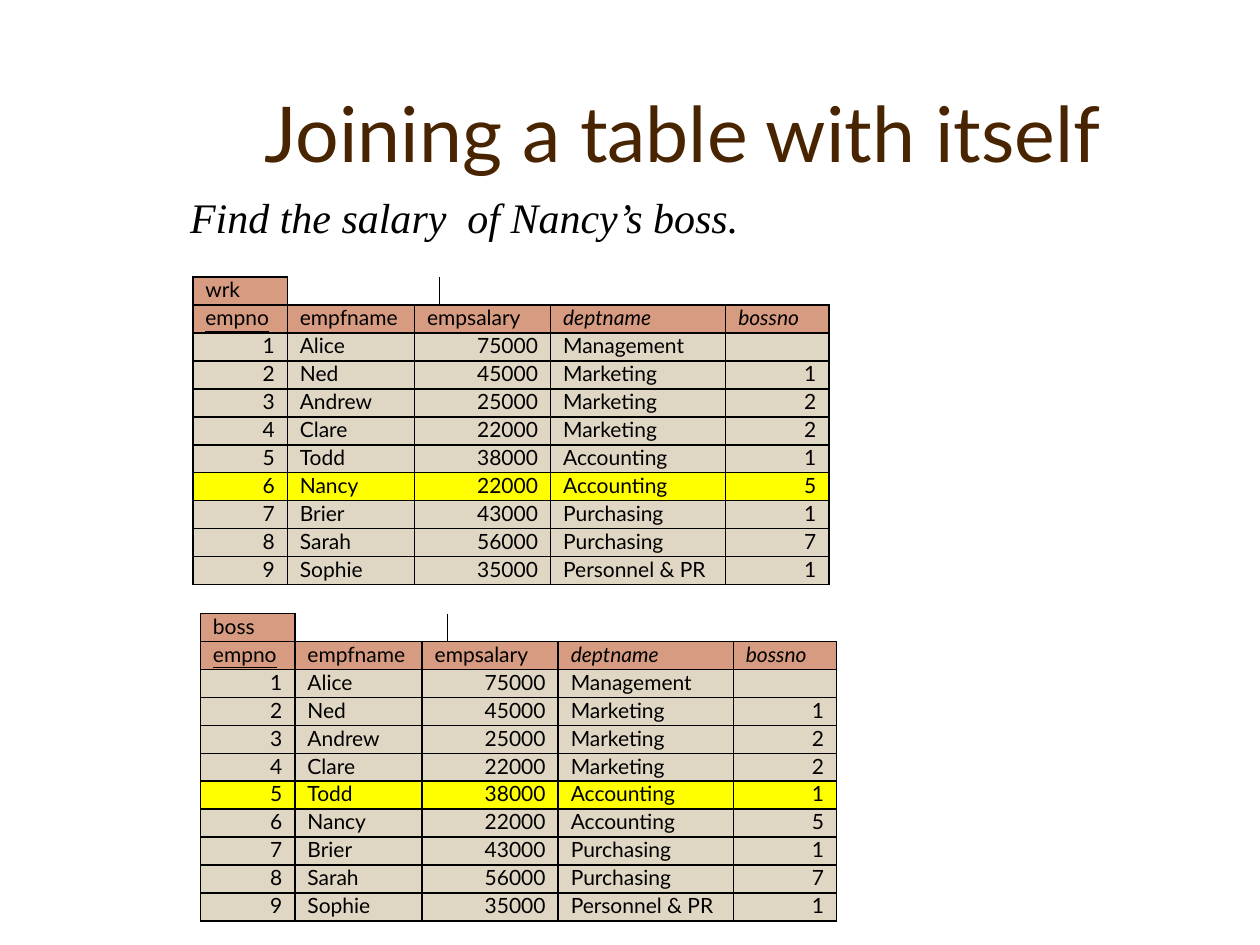
from dataclasses import dataclass

from lxml import etree
from pptx import Presentation
from pptx.dml.color import RGBColor
from pptx.enum.text import MSO_ANCHOR, PP_ALIGN
from pptx.oxml.ns import qn
from pptx.util import Inches, Pt

CENTER, RIGHT, JUSTIFY = PP_ALIGN.CENTER, PP_ALIGN.RIGHT, PP_ALIGN.JUSTIFY
LEFT = PP_ALIGN.LEFT
MIDDLE, TOP = MSO_ANCHOR.MIDDLE, MSO_ANCHOR.TOP


@dataclass(frozen=True)
class Theme:
    title: str = "482400"
    ink: str = "000000"
    header: str = "D69B80"
    row: str = "DFD6C3"
    highlight: str = "FFFF00"
    sans: str = "Lato"
    serif: str = "Times New Roman"
    title_size: int = 44
    query_size: int = 24
    table_size: int = 12


THEME = Theme()
NO_STYLE = "{2D5ABB26-0587-4C30-8999-92F81FD0307C}"
COL_WIDTHS = (0.75, 1.01, 0.2, 0.88, 1.39, 0.23, 0.59)
ROW_HEIGHT = 2.44 / 11
NAME_SPANS = ((0, 0), (1, 2), (3, 3), (4, 5), (6, 6))
DATA_SPANS = ((0, 0), (1, 1), (2, 3), (4, 4), (5, 6))
HEADERS = ("empno", "empfname", "empsalary", "deptname", "bossno")
EMPLOYEES = (
    ("1", "Alice", "75000", "Management", ""),
    ("2", "Ned", "45000", "Marketing", "1"),
    ("3", "Andrew", "25000", "Marketing", "2"),
    ("4", "Clare", "22000", "Marketing", "2"),
    ("5", "Todd", "38000", "Accounting", "1"),
    ("6", "Nancy", "22000", "Accounting", "5"),
    ("7", "Brier", "43000", "Purchasing", "1"),
    ("8", "Sarah", "56000", "Purchasing", "7"),
    ("9", "Sophie", "35000", "Personnel & PR", "1"),
)


def set_font(p, name, size, color, italic=False):
    p.font.name = name
    p.font.size = Pt(size)
    p.font.italic = italic
    p.font.color.rgb = RGBColor.from_string(color)


def add_text(slide, box, text, font, align=LEFT, anchor=TOP, wrap=True):
    tf = slide.shapes.add_textbox(*map(Inches, box)).text_frame
    tf.word_wrap = wrap
    tf.vertical_anchor = anchor
    p = tf.paragraphs[0]
    p.text = text
    p.alignment = align
    set_font(p, *font)


def set_borders(cell, sides):
    tc_pr = cell._tc.get_or_add_tcPr()
    for side in sides:
        ln = etree.SubElement(tc_pr, qn(f"a:ln{side}"), w=str(Pt(1)))
        fill = etree.SubElement(ln, qn("a:solidFill"))
        etree.SubElement(fill, qn("a:srgbClr"), val=THEME.ink)


def fill_cell(cell, text, color, align=JUSTIFY, italic=False):
    cell.margin_left = cell.margin_right = Inches(0.1)
    cell.margin_top = cell.margin_bottom = 0
    p = cell.text_frame.paragraphs[0]
    p.text = text
    p.alignment = align
    set_font(p, THEME.sans, THEME.table_size, THEME.ink, italic)
    if text:
        p.space_before = p.space_after = Pt(3)
    else:
        etree.SubElement(p._p, qn("a:endParaRPr"), sz=str(THEME.table_size * 100))
    if color:
        cell.fill.solid()
        cell.fill.fore_color.rgb = RGBColor.from_string(color)
    else:
        cell.fill.background()


def fill_row(table, row, spans, values, color):
    for field, ((first, last), value) in enumerate(zip(spans, values)):
        is_named = row > 0 or field == 0
        cell_color = color if is_named else None
        align = RIGHT if value.isdigit() else JUSTIFY
        italic = row == 1 and field > 2
        for col in range(first, last + 1):
            cell = table.cell(row, col)
            if not is_named:
                sides = "LB" if col == 1 else "B"
            else:
                sides = "LRTB" if col == first else "RTB"
            set_borders(cell, sides)
            fill_cell(cell, value if col == first else "", cell_color, align, italic)
        if last > first:
            table.cell(row, first).merge(table.cell(row, last))


def add_employee_table(slide, left, top, name, highlighted):
    frame = slide.shapes.add_table(
        len(EMPLOYEES) + 2, len(COL_WIDTHS), Inches(left), Inches(top),
        Inches(sum(COL_WIDTHS)), Inches(ROW_HEIGHT * (len(EMPLOYEES) + 2)))
    table = frame.table
    table.first_row = table.horz_banding = False
    for style in frame.element.iter(qn("a:tableStyleId")):
        style.text = NO_STYLE
    for column, width in zip(table.columns, COL_WIDTHS):
        column.width = Inches(width)
    for row in table.rows:
        row.height = Inches(ROW_HEIGHT)
    fill_row(table, 0, NAME_SPANS, (name, "", "", "", ""), THEME.header)
    fill_row(table, 1, DATA_SPANS, HEADERS, THEME.header)
    table.cell(1, 0).text_frame.paragraphs[0].font.underline = True
    for row, employee in enumerate(EMPLOYEES, 2):
        color = THEME.highlight if employee[1] == highlighted else THEME.row
        fill_row(table, row, DATA_SPANS, employee, color)


def main():
    prs = Presentation()
    prs.slide_width, prs.slide_height = Inches(10), Inches(7.5)
    slide = prs.slides.add_slide(prs.slide_layouts[6])
    add_text(slide, (1.17, 0.42, 8.5, 1.25), "Joining a table with itself",
             (THEME.sans, THEME.title_size, THEME.title), CENTER, MIDDLE)
    add_employee_table(slide, 1.53, 2.2, "wrk", "Nancy")
    add_employee_table(slide, 1.59, 4.87, "boss", "Todd")
    add_text(slide, (1.41, 1.47, 4.71, 0.5), "Find the salary  of Nancy’s boss.",
             (THEME.serif, THEME.query_size, THEME.ink, True), wrap=False)
    prs.save("out.pptx")


main()
